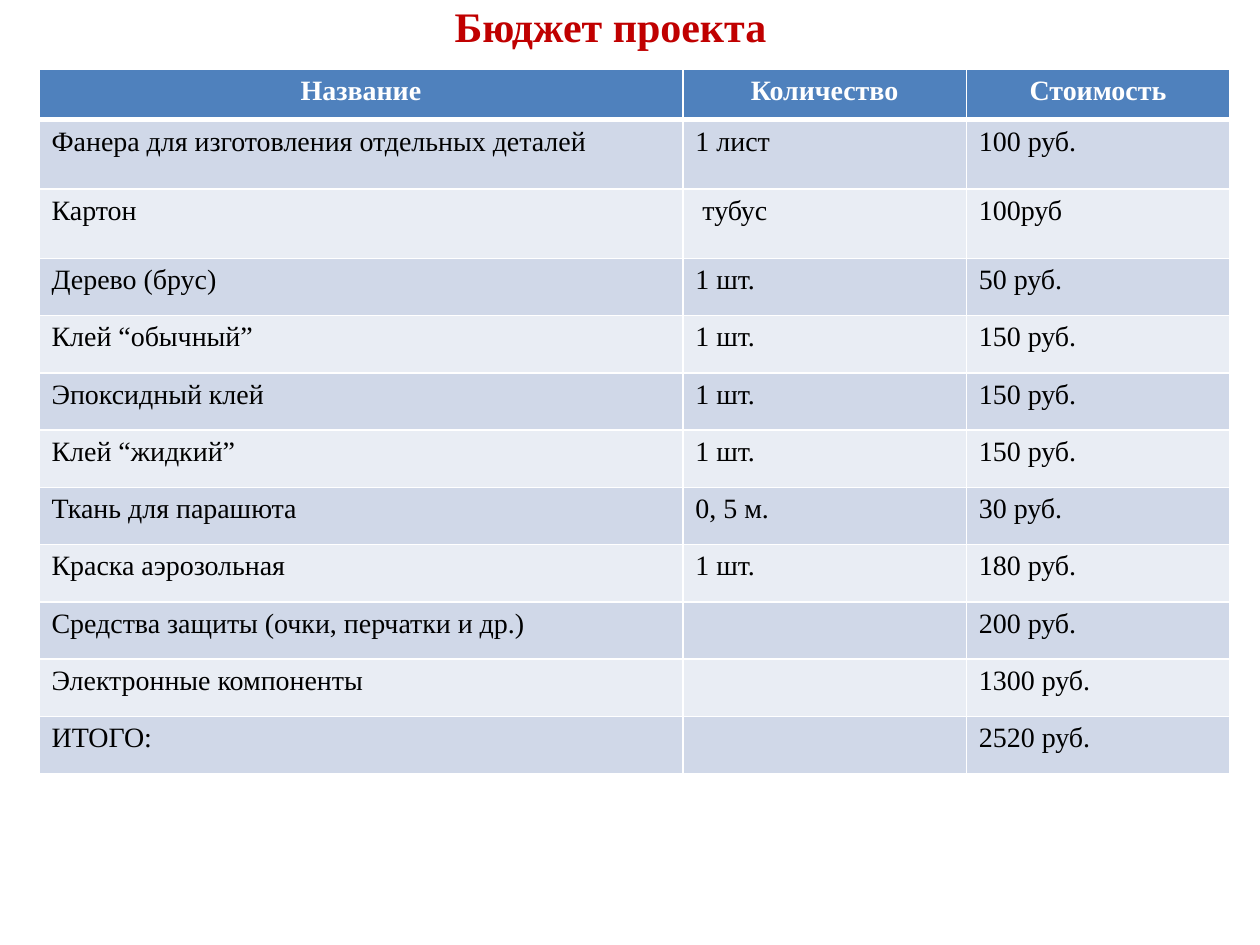
from lxml import etree
from pptx import Presentation
from pptx import util as u
from pptx.dml.color import RGBColor
from pptx.enum import text
from pptx.oxml import ns

COLORS = {
    "title": "C00000",
    "header": "4F81BD",
    "odd": "D0D8E8",
    "even": "E9EDF4",
    "border": "FFFFFF",
    "header_text": "FFFFFF",
    "body_text": "000000",
}
FONT = "Times New Roman"
COLUMN_WIDTHS = [5.11, 2.25, 2.09]
ROW_HEIGHTS = [0.4] + [0.55] * 2 + [4.09 / 9] * 9
BUDGET = [
    ("Название", "Количество", "Стоимость"),
    ("Фанера для изготовления отдельных деталей", "1 лист", "100 руб."),
    ("Картон", " тубус", "100руб"),
    ("Дерево (брус)", "1 шт.", "50 руб."),
    ("Клей “обычный”", "1 шт.", "150 руб."),
    ("Эпоксидный клей", "1 шт.", "150 руб."),
    ("Клей “жидкий”", "1 шт.", "150 руб."),
    ("Ткань для парашюта", "0, 5 м.", "30 руб."),
    ("Краска аэрозольная", "1 шт.", "180 руб."),
    ("Средства защиты (очки, перчатки и др.)", "", "200 руб."),
    ("Электронные компоненты", "", "1300 руб."),
    ("ИТОГО:", "", "2520 руб."),
]


def rgb(name):
    return RGBColor.from_string(COLORS[name])


def write(frame, words, size, color, bold=False, centered=False):
    frame.text = words
    para = frame.paragraphs[0]
    para.alignment = text.PP_ALIGN.CENTER if centered else text.PP_ALIGN.LEFT
    para.font.size = u.Pt(size)
    for span in para.runs:
        span.font.name = FONT
        span.font.size = u.Pt(size)
        span.font.bold = bold
        span.font.color.rgb = rgb(color)


def add_title(page, words):
    box = page.shapes.add_textbox(
        u.Inches(0.39), u.Inches(0), u.Inches(8.91), u.Inches(0.31))
    frame = box.text_frame
    frame.word_wrap = True
    frame.margin_top = frame.margin_bottom = 0
    write(frame, words, 24, "title", bold=True, centered=True)


def set_borders(cell, widths):
    properties = cell._tc.get_or_add_tcPr()
    for index, (side, width) in enumerate(widths.items()):
        line = etree.Element(ns.qn(f"a:ln{side}"), w=str(u.Pt(width)))
        fill = etree.SubElement(line, ns.qn("a:solidFill"))
        etree.SubElement(fill, ns.qn("a:srgbClr"), val=COLORS["border"])
        properties.insert(index, line)


def add_budget_table(page):
    table = page.shapes.add_table(
        len(BUDGET), len(COLUMN_WIDTHS), u.Inches(0.31), u.Inches(0.55),
        u.Inches(sum(COLUMN_WIDTHS)), u.Inches(sum(ROW_HEIGHTS))).table
    for column, width in zip(table.columns, COLUMN_WIDTHS):
        column.width = u.Inches(width)
    for index, (row, height) in enumerate(zip(table.rows, ROW_HEIGHTS)):
        row.height = u.Inches(height)
        header = index == 0
        fill = "header" if header else "odd" if index % 2 else "even"
        color = "header_text" if header else "body_text"
        borders = {"L": 1, "R": 1, "T": 3 if index == 1 else 1,
                   "B": 3 if header else 1}
        for cell, words in zip(row.cells, BUDGET[index]):
            cell.fill.solid()
            cell.fill.fore_color.rgb = rgb(fill)
            set_borders(cell, borders)
            write(cell.text_frame, words, 16, color, header, header)


def main():
    deck = Presentation()
    deck.slide_width, deck.slide_height = u.Inches(10), u.Inches(7.5)
    page = deck.slides.add_slide(deck.slide_layouts[6])
    add_title(page, "Бюджет проекта")
    add_budget_table(page)
    deck.save("out.pptx")


if __name__ == "__main__":
    main()
